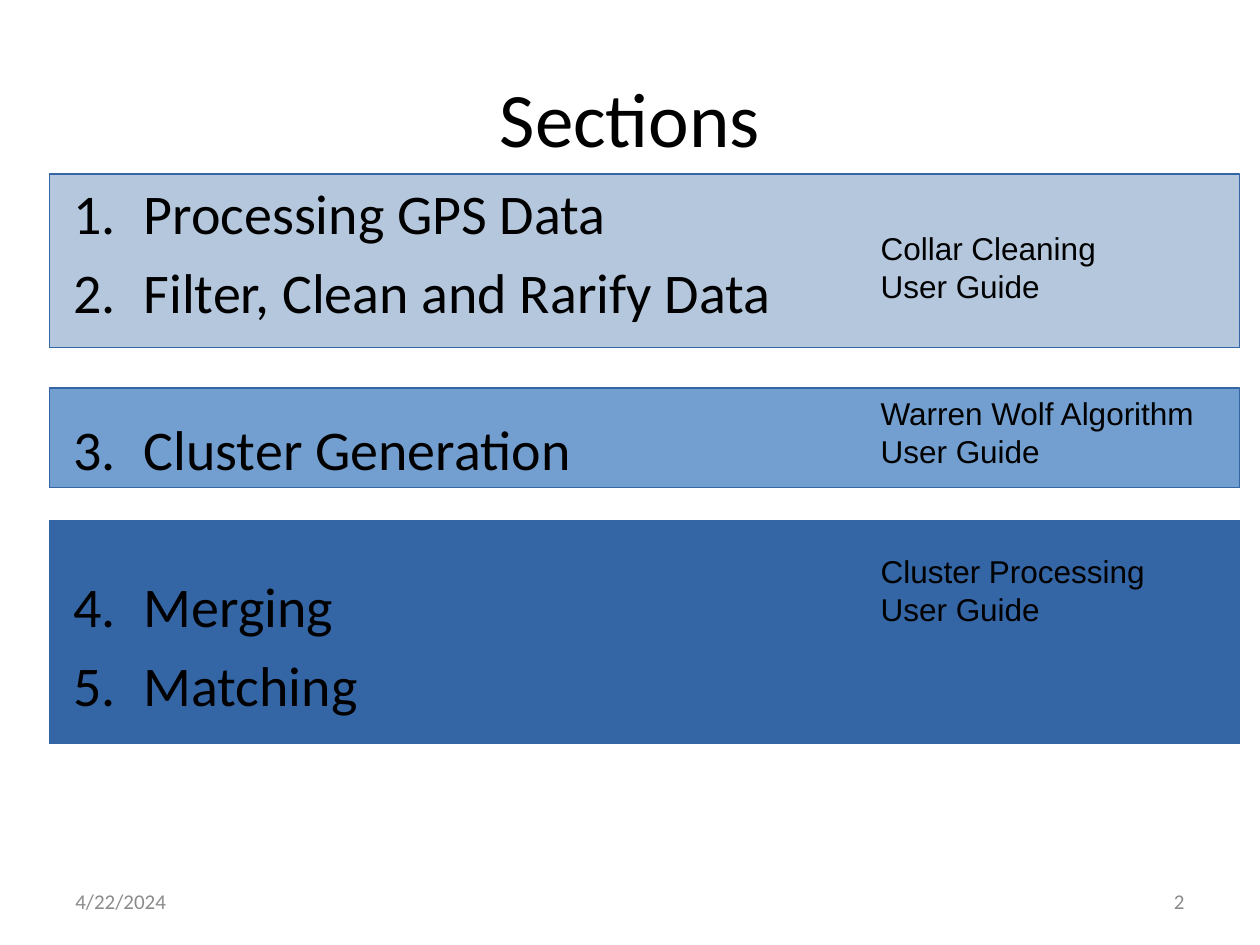
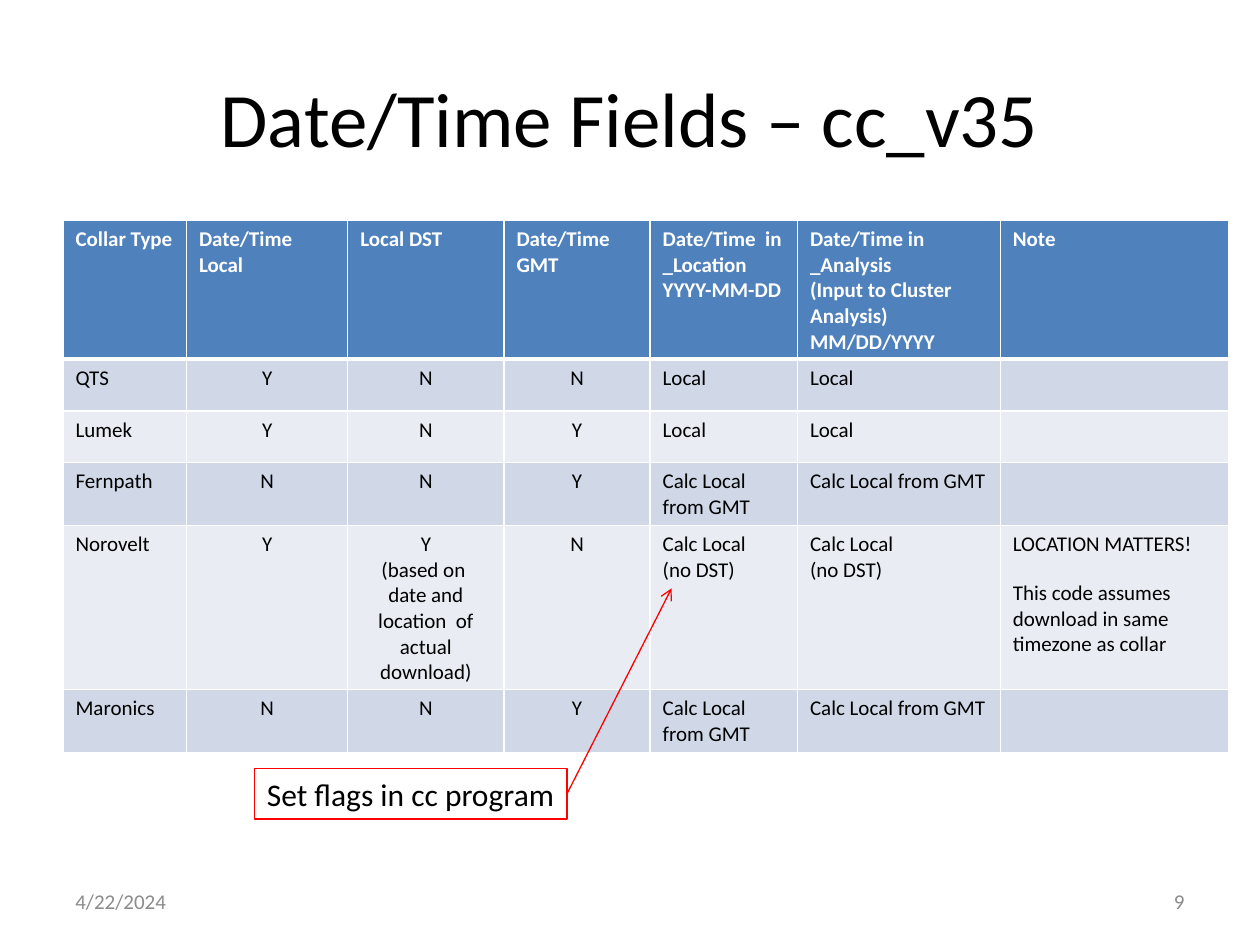
from lxml.etree import SubElement
from pptx import Presentation
from pptx.dml.color import RGBColor
from pptx.enum.shapes import MSO_CONNECTOR, MSO_SHAPE
from pptx.enum.text import MSO_ANCHOR, PP_ALIGN
from pptx.oxml.ns import qn
from pptx.util import Inches, Pt

BLACK = RGBColor(0x00, 0x00, 0x00)
WHITE = RGBColor(0xFF, 0xFF, 0xFF)
RED = RGBColor(0xFF, 0x00, 0x00)
FOOTER_GREY = RGBColor(0x8B, 0x8B, 0x8B)
BAND_LIGHT = RGBColor(0xB4, 0xC7, 0xDC)
BAND_MEDIUM = RGBColor(0x72, 0x9F, 0xCF)
BAND_DARK = RGBColor(0x34, 0x65, 0xA4)
HEADER_BLUE = RGBColor(0x4F, 0x81, 0xBD)
ROW_DARK = RGBColor(0xD0, 0xD8, 0xE7)
ROW_LIGHT = RGBColor(0xE9, 0xEC, 0xF3)

TITLE = {"name": "Calibri", "size": Pt(44)}
LIST = {"name": "Calibri", "size": Pt(32)}
GUIDE = {"name": "Arial", "size": Pt(18)}
CALLOUT = {"name": "Calibri", "size": Pt(18)}
CELL = {"name": "Calibri", "size": Pt(12)}
HEADER = {**CELL, "bold": True}


def write(frame, text, style, color=BLACK, align=PP_ALIGN.LEFT):
    """Fill a text frame, one paragraph per line of text, in one style."""
    frame.text = text
    for paragraph in frame.paragraphs:
        paragraph.alignment = align
        for font in [paragraph.font] + [run.font for run in paragraph.runs]:
            for attribute, value in style.items():
                setattr(font, attribute, value)
            font.color.rgb = color


def add_text(slide, box, text, style, color=BLACK, align=PP_ALIGN.LEFT,
             anchor=MSO_ANCHOR.TOP):
    frame = slide.shapes.add_textbox(*map(Inches, box)).text_frame
    frame.word_wrap = True
    frame.vertical_anchor = anchor
    write(frame, text, style, color, align)
    return frame


deck = Presentation()
deck.slide_width, deck.slide_height = Inches(10), Inches(7.5)
sections = deck.slides.add_slide(deck.slide_layouts[6])
date_fields = deck.slides.add_slide(deck.slide_layouts[6])

# Title, date and page number on both slides
for slide, title, page in [(sections, "Sections", "2"),
                           (date_fields, "Date/Time Fields – cc_v35", "9")]:
    add_text(slide, (0.5, 0.3, 9, 1.25), title, TITLE,
             align=PP_ALIGN.CENTER, anchor=MSO_ANCHOR.MIDDLE)
    for left, text, align in [(0.5, "4/22/2024", PP_ALIGN.LEFT),
                              (7.17, page, PP_ALIGN.RIGHT)]:
        add_text(slide, (left, 6.95, 2.33, 0.4), text, CELL, FOOTER_GREY,
                 align, MSO_ANCHOR.MIDDLE)

# Sections: one band per user guide
for top, height, color, guide, guide_top in [
    (1.38, 1.38, BAND_LIGHT, "Collar Cleaning", 1.77),
    (3.08, 0.79, BAND_MEDIUM, "Warren Wolf Algorithm", 3.08),
    (4.13, 1.77, BAND_DARK, "Cluster Processing", 4.33),
]:
    band = sections.shapes.add_shape(
        MSO_SHAPE.RECTANGLE, *map(Inches, (0.39, top, 9.45, height)))
    band.shadow.inherit = False
    band.fill.solid()
    band.fill.fore_color.rgb = color
    band.line.color.rgb = BAND_DARK
    band.line.width = Pt(0)
    add_text(sections, (6.89, guide_top, 2.95, 0.66),
             guide + "\nUser Guide", GUIDE)

# Sections: numbered steps, with a wider gap where a new band starts
steps = ["Processing GPS Data", "Filter, Clean and Rarify Data",
         "Cluster Generation", "Merging", "Matching"]
band_starts = ("Cluster Generation", "Merging")
step_list = add_text(sections, (0.58, 1.42, 9, 5.33), "\n".join(steps), LIST)
for side in ("left", "top", "right", "bottom"):
    setattr(step_list, "margin_" + side, 0)
for paragraph in step_list.paragraphs:
    paragraph.space_before = Pt(51.4 if paragraph.text in band_starts else 6.4)
    properties = paragraph._p.get_or_add_pPr()
    properties.set("marL", str(Inches(0.56)))
    properties.set("indent", str(-Inches(0.56)))
    numbering = properties.makeelement(qn("a:buAutoNum"), {"type": "arabicPeriod"})
    properties.find(qn("a:spcBef")).addnext(numbering)

# Date/time fields by collar type
rows = [
    ["Collar Type", "Date/Time Local", "Local DST", "Date/Time GMT",
     "Date/Time  in _Location\nYYYY-MM-DD",
     "Date/Time in _Analysis\n(Input to Cluster Analysis)\nMM/DD/YYYY", "Note"],
    ["QTS", "Y", "N", "N", "Local", "Local", ""],
    ["Lumek", "Y", "N", "Y", "Local", "Local", ""],
    ["Fernpath", "N", "N", "Y", "Calc Local from GMT", "Calc Local from GMT", ""],
    ["Norovelt", "Y",
     "Y\n(based on  date and location  of actual download)", "N",
     "Calc Local\n(no DST)", "Calc Local\n(no DST)",
     "LOCATION MATTERS!\nThis code assumes download in same timezone as collar"],
    ["Maronics", "N", "N", "Y", "Calc Local from GMT", "Calc Local from GMT", ""],
]
column_widths = [0.98, 1.28, 1.24, 1.16, 1.17, 1.61, 1.81]
row_heights = [0.94, 0.41, 0.41, 0.43, 1.1, 0.43]
flag_columns = (1, 2, 3)

fields = date_fields.shapes.add_table(
    len(rows), len(column_widths), *map(Inches, (0.5, 1.75, 9.25, 3.72))).table
for column, width in zip(fields.columns, column_widths):
    column.width = Inches(width)
for r, (row, height) in enumerate(zip(rows, row_heights)):
    fields.rows[r].height = Inches(height)
    for c, text in enumerate(row):
        cell = fields.cell(r, c)
        if r == 0:
            write(cell.text_frame, text, HEADER, WHITE)
            background = HEADER_BLUE
        else:
            align = PP_ALIGN.CENTER if c in flag_columns else PP_ALIGN.LEFT
            write(cell.text_frame, text, CELL, align=align)
            background = ROW_DARK if r % 2 else ROW_LIGHT
        thick_edge = {0: "lnB", 1: "lnT"}.get(r)
        for edge in ("lnL", "lnR", "lnT", "lnB"):
            width = Pt(3 if edge == thick_edge else 0.96)
            border = SubElement(cell._tc.get_or_add_tcPr(), qn("a:" + edge),
                                w=str(width))
            SubElement(SubElement(border, qn("a:solidFill")),
                       qn("a:srgbClr"), val=str(WHITE))
        cell.fill.solid()
        cell.fill.fore_color.rgb = background
location_note = fields.cell(4, 6).text_frame
location_note.paragraphs[1].space_before = Pt(13.4)

# Callout and its arrow to the cell without DST
callout = date_fields.shapes.add_shape(
    MSO_SHAPE.RECTANGLE, *map(Inches, (2.02, 6.1, 2.48, 0.4)))
callout.shadow.inherit = False
callout.fill.background()
callout.line.color.rgb = RED
callout.line.width = Pt(0)
callout.text_frame.word_wrap = False
write(callout.text_frame, "Set flags in cc program", CALLOUT)

arrow = date_fields.shapes.add_connector(
    MSO_CONNECTOR.STRAIGHT, *map(Inches, (4.5, 6.3, 5.33, 4.67)))
arrow.begin_connect(callout, 3)
arrow.line.color.rgb = RED
arrow.line.width = Pt(0.75)
SubElement(arrow.line._get_or_add_ln(), qn("a:tailEnd"), type="arrow")
SubElement(arrow._element.spPr, qn("a:effectLst"))

deck.save("out.pptx")
